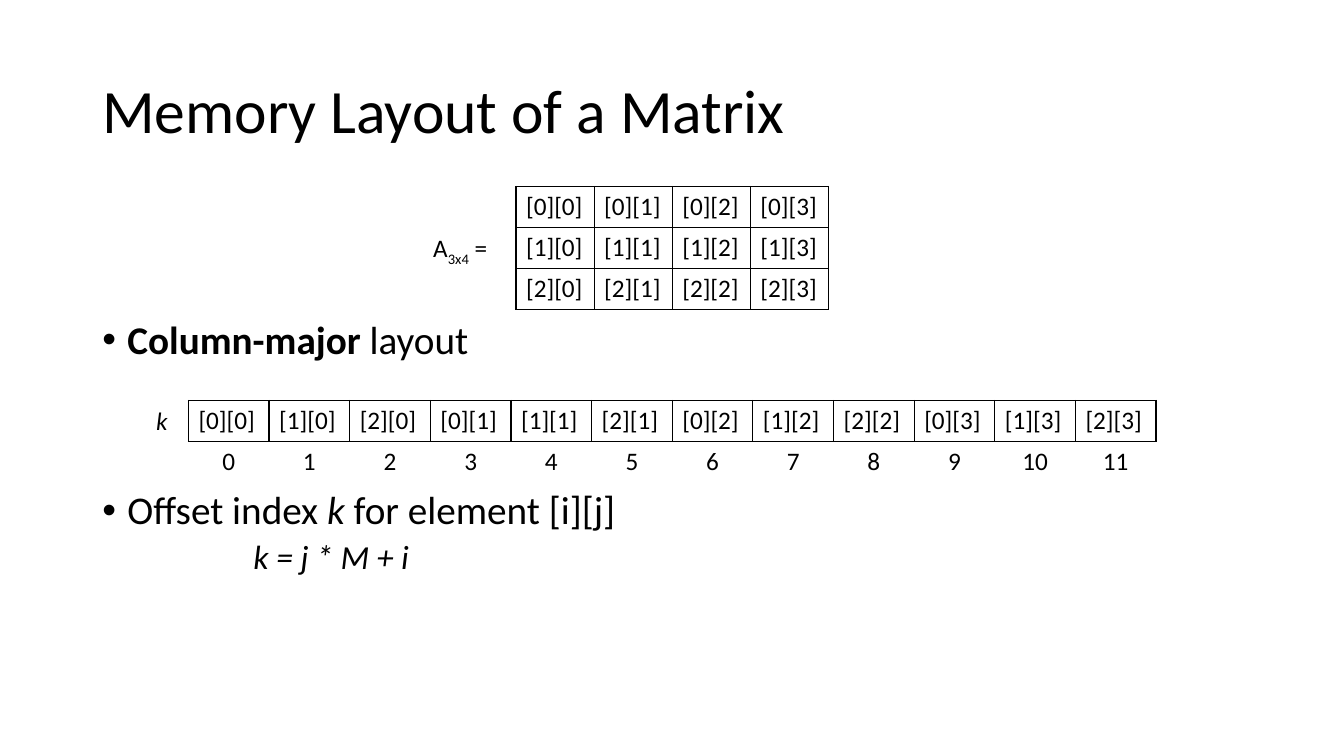
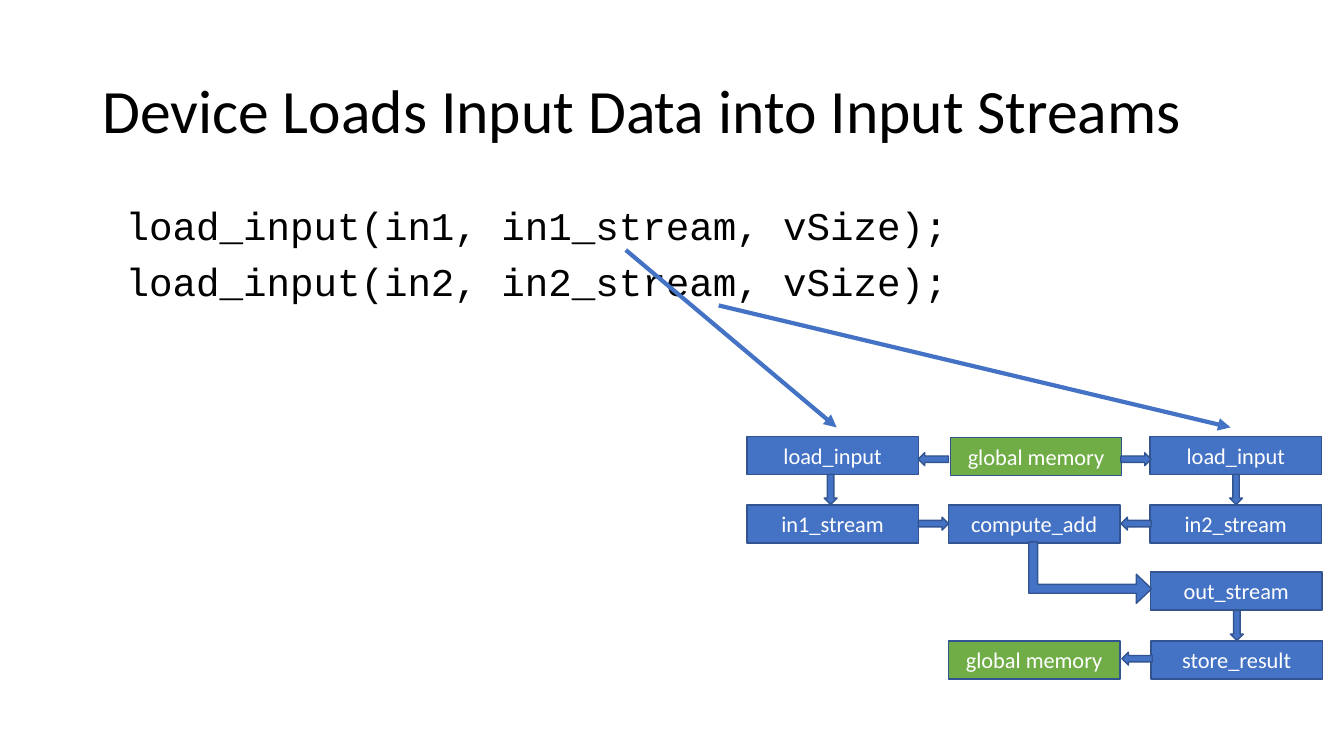
from itertools import product

from lxml.etree import SubElement
from pptx import Presentation
from pptx.dml.color import RGBColor
from pptx.enum.shapes import MSO_CONNECTOR as Connector, MSO_SHAPE as Shape
from pptx.enum.text import MSO_ANCHOR as Anchor, PP_ALIGN as Align
from pptx.oxml.ns import qn
from pptx.util import Pt

BLACK = RGBColor(0x00, 0x00, 0x00)
WHITE = RGBColor(0xFF, 0xFF, 0xFF)
BLUE = RGBColor(0x44, 0x72, 0xC4)
NAVY = RGBColor(0x32, 0x54, 0x91)
GREEN = RGBColor(0x70, 0xAD, 0x47)

BODY_FONT = "Calibri"
CODE_FONT = "Courier New"
MARGIN, CONTENT_WIDTH = 66, 828
ROW_HEIGHT = 29.2
BULLET_INDENT = 18


# Text
def write(para, text, size=18, font=BODY_FONT, color=BLACK, bold=False,
          italic=False, baseline=None):
    span = para.add_run()
    span.text = text
    span.font.size = Pt(size)
    span.font.name = font
    span.font.color.rgb = color
    span.font.bold = bold
    span.font.italic = italic
    if baseline is not None:
        span.font._element.set("baseline", str(baseline * 1000))


def text_box(page, left, top, width, height, anchor=Anchor.TOP):
    box = page.shapes.add_textbox(Pt(left), Pt(top), Pt(width), Pt(height))
    frame = box.text_frame
    frame.word_wrap = True
    frame.vertical_anchor = anchor
    return frame


def next_para(frame, before=0):
    """Return the empty first paragraph, or a new one set off by a gap."""
    para = frame.paragraphs[0]
    if para.runs:
        para = frame.add_paragraph()
        para.space_before = Pt(before)
    para.line_spacing = 0.9
    return para


def indent(para, left, bullet=None):
    properties = para._p.get_or_add_pPr()
    properties.set("marL", str(Pt(left)))
    properties.set("indent", str(Pt(-left if bullet else 0)))
    if bullet:
        SubElement(properties, qn("a:buFont"), typeface="Arial")
        SubElement(properties, qn("a:buChar"), char=bullet)


def titled_page(deck, title):
    page = deck.slides.add_slide(deck.slide_layouts[6])
    frame = text_box(page, MARGIN, 28.8, CONTENT_WIDTH, 104.4, Anchor.MIDDLE)
    write(next_para(frame), title, size=44)
    return page


# Tables
def set_borders(cell, visible):
    properties = cell._tc.get_or_add_tcPr()
    for side in ("lnL", "lnR", "lnT", "lnB"):
        line = SubElement(properties, qn(f"a:{side}"), w=str(Pt(1)))
        if visible:
            fill = SubElement(line, qn("a:solidFill"))
            SubElement(fill, qn("a:srgbClr"), val=str(BLACK))
        else:
            SubElement(line, qn("a:noFill"))


def cell_grid(page, left, top, cell_width, rows, bordered=True,
              align=Align.LEFT):
    count = len(rows[0])
    table = page.shapes.add_table(
        len(rows), count, Pt(left), Pt(top),
        Pt(cell_width * count), Pt(ROW_HEIGHT * len(rows))).table
    table.first_row = table.horz_banding = False
    for column in table.columns:
        column.width = Pt(cell_width)
    for r, c in product(range(len(rows)), range(count)):
        cell = table.cell(r, c)
        set_borders(cell, bordered)
        cell.fill.background()
        para = cell.text_frame.paragraphs[0]
        para.alignment = align
        write(para, rows[r][c])


# Memory layout slide
def matrix(page, left, top, row_count, column_count):
    label = next_para(text_box(page, left, top + 29.5, 59.8, 29))
    label.line_spacing = 1
    write(label, "A")
    write(label, f"{row_count}x{column_count}", baseline=-25)
    write(label, " =")
    rows = [[f"[{i}][{j}]" for j in range(column_count)]
            for i in range(row_count)]
    cell_grid(page, left + 66.2, top, 55.8, rows)


def memory_strip(page, left, top, row_count, column_count):
    label = next_para(text_box(page, left, top, 59.8, 29))
    label.line_spacing = 1
    write(label, "k", italic=True)
    cells = [f"[{i}][{j}]"
             for j, i in product(range(column_count), range(row_count))]
    offsets = [str(k) for k in range(len(cells))]
    cell_grid(page, left + 30.2, top, 57.6, [cells])
    cell_grid(page, left + 30.2, top + ROW_HEIGHT, 57.6, [offsets],
              bordered=False, align=Align.CENTER)


def layout_points(page, left, top):
    frame = text_box(page, left, top, CONTENT_WIDTH, 200)
    para = next_para(frame)
    indent(para, BULLET_INDENT, "•")
    write(para, "Column-major", size=28, bold=True)
    write(para, " layout", size=28)

    # The gap leaves room for the memory strip
    para = next_para(frame, before=91.5)
    indent(para, BULLET_INDENT, "•")
    write(para, "Offset index ", size=28)
    write(para, "k", size=28, italic=True)
    write(para, " for element [i][j]", size=28)

    para = next_para(frame, before=5)
    indent(para, 108)
    write(para, "k = j * M + i", size=24, italic=True)


def memory_slide(deck):
    page = titled_page(deck, "Memory Layout of a Matrix")
    layout_points(page, MARGIN, 225.5)
    matrix(page, 302.4, 133.2, 3, 4)
    memory_strip(page, 104.4, 286, 3, 4)


# Data flow slide
def filled_shape(group, kind, left, top, width, height, fill=BLUE):
    shape = group.shapes.add_shape(kind, Pt(left), Pt(top), Pt(width),
                                   Pt(height))
    shape.shadow.inherit = False
    shape.fill.solid()
    shape.fill.fore_color.rgb = fill
    shape.line.color.rgb = NAVY
    shape.line.width = Pt(1)
    return shape


def block_arrow(group, kind, center_x, center_y, width, height, turn):
    arrow = filled_shape(group, kind, center_x - width / 2,
                         center_y - height / 2, width, height)
    arrow.rotation = turn
    return arrow


def process_box(group, text, left, top, fill):
    box = filled_shape(group, Shape.FLOWCHART_PROCESS, left, top, 122.4, 27,
                       fill)
    frame = box.text_frame
    frame.word_wrap = True
    frame.vertical_anchor = Anchor.MIDDLE
    para = frame.paragraphs[0]
    para.alignment = Align.CENTER
    write(para, text, size=16, color=WHITE)


def stream_diagram(page, left, top):
    group = page.shapes.add_group_shape()
    first, middle, last = (left + 144 * n for n in range(3))
    load, stream, output, store = (top + y for y in (0, 48.9, 96.8, 146.1))
    for text, x, y, fill in (
            ("load_input", first, load, BLUE),
            ("global memory", middle + 1.4, load + 0.7, GREEN),
            ("load_input", last, load, BLUE),
            ("in1_stream", first, stream, BLUE),
            ("compute_add", middle, stream, BLUE),
            ("in2_stream", last, stream, BLUE),
            ("out_stream", last + 0.4, output, BLUE),
            ("global memory", middle, store, GREEN),
            ("store_result", last + 0.7, store, BLUE)):
        process_box(group, text, x, y, fill)

    # Arrow centres between neighbouring boxes, with their turn in degrees
    for x, y, turn in (
            (133.2, 16.2, 180), (278, 16.2, 0),
            (59.8, 37.8, 90), (349.4, 37.8, 90),
            (133.2, 62.2, 0), (278, 62.2, 180),
            (350, 135, 90), (278.7, 158.7, 180)):
        block_arrow(group, Shape.RIGHT_ARROW, left + x, top + y, 21.6, 9.2,
                    turn)
    bent = block_arrow(group, Shape.BENT_UP_ARROW, left + 245.2, top + 97.2,
                       43.9, 87.8, 90)
    for n, value in enumerate((0.144, 0.236, 0.25)):
        bent.adjustments[n] = value


def call_arrow(page, start_x, start_y, end_x, end_y):
    arrow = page.shapes.add_connector(Connector.STRAIGHT, Pt(start_x),
                                      Pt(start_y), Pt(end_x), Pt(end_y))
    arrow.line.color.rgb = BLUE
    arrow.line.width = Pt(3)
    SubElement(arrow.line._get_or_add_ln(), qn("a:tailEnd"), type="triangle")
    SubElement(arrow._element.spPr, qn("a:effectLst"))


def stream_slide(deck):
    page = titled_page(deck, "Device Loads Input Data into Input Streams")
    frame = text_box(page, MARGIN, 144, CONTENT_WIDTH, 342.7)
    for n in (1, 2):
        write(next_para(frame, before=10),
              f" load_input(in{n}, in{n}_stream, vSize);",
              size=28, font=CODE_FONT)
    stream_diagram(page, 533.5, 311.8)
    call_arrow(page, 447, 178.6, 597.6, 305.3)
    call_arrow(page, 513.4, 218.2, 879, 305.3)


def main():
    deck = Presentation()
    deck.slide_width, deck.slide_height = Pt(960), Pt(540)
    memory_slide(deck)
    stream_slide(deck)
    deck.save("out.pptx")


if __name__ == "__main__":
    main()
